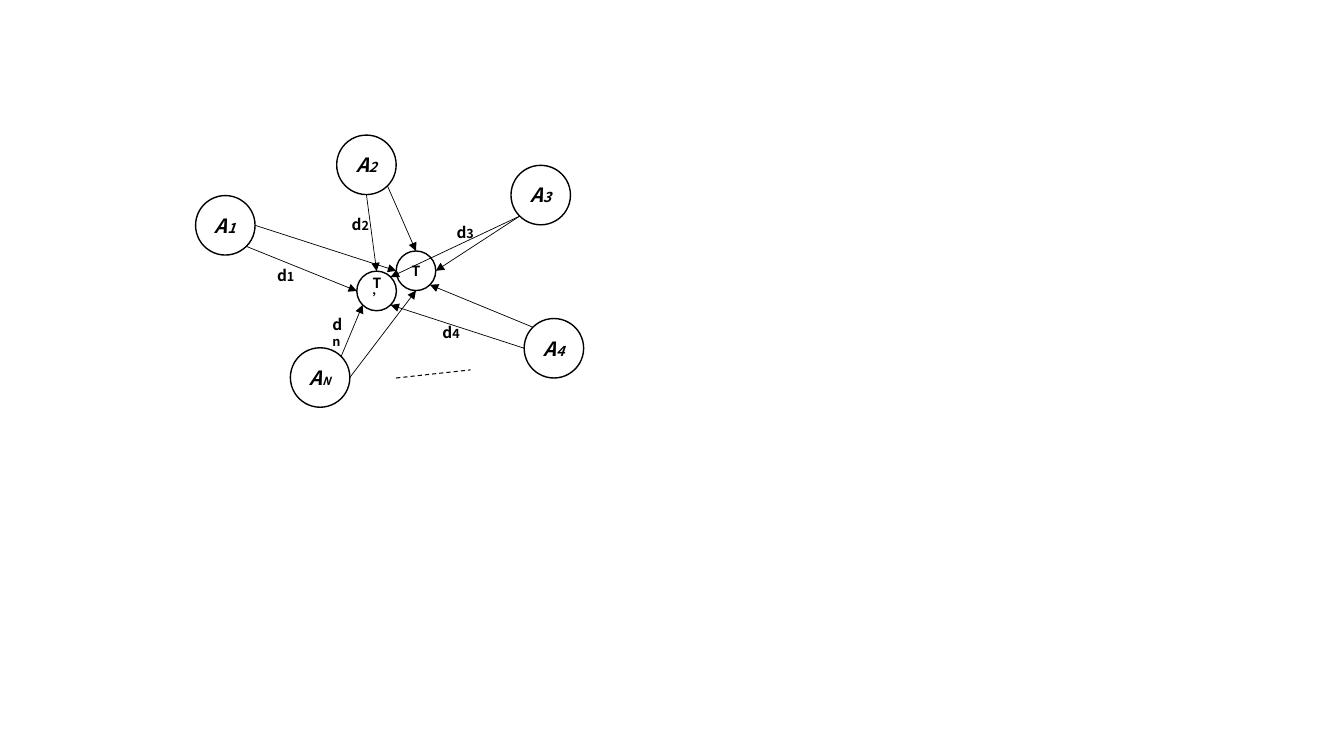
from dataclasses import dataclass
from math import cos, radians, sin

from lxml import etree
from pptx import Presentation
from pptx.dml.color import RGBColor
from pptx.enum.dml import MSO_LINE
from pptx.enum.shapes import MSO_CONNECTOR, MSO_SHAPE
from pptx.enum.text import MSO_ANCHOR, MSO_AUTO_SIZE, PP_ALIGN
from pptx.oxml.ns import qn
from pptx.shapes.connector import Connector
from pptx.slide import Slide
from pptx.text.text import TextFrame
from pptx.util import Pt

OVAL = MSO_SHAPE.OVAL
LINE = MSO_CONNECTOR.STRAIGHT
DASH = MSO_LINE.DASH
MIDDLE = MSO_ANCHOR.MIDDLE
CENTER = PP_ALIGN.CENTER
FIT = MSO_AUTO_SIZE.SHAPE_TO_FIT_TEXT

COLORS = {"ink": "000000"}
FONT = "Noto Sans CJK SC"
WIDE, SMALL = 42.5, 28.3
ANGLES = {"right": 0, "low right": 45, "low": 90, "low left": 135,
          "left": 180, "top left": 225, "top": 270, "top right": 315}

Point = tuple[float, float]
Piece = tuple[str, float]


@dataclass
class Node:
    left: float
    top: float
    size: float
    words: list[Piece]
    inset: float = 0
    slant: bool = False

    def port(self, side: str) -> Point:
        half = self.size / 2
        turn = radians(ANGLES[side])
        return (self.left + half + half * cos(turn),
                self.top + half + half * sin(turn))


@dataclass
class Arrow:
    start: str
    exit: str
    end: str
    entry: str


@dataclass
class Label:
    left: float
    top: float
    mark: str


def anchor(left: float, top: float, mark: str, size: float = 10) -> Node:
    return Node(left, top, WIDE, [("A", 14), (mark, size)], slant=True)


NODES = {
    "A1": anchor(139.7, 139.7, "1"),
    "A2": anchor(240.5, 96.5, "2"),
    "AN": anchor(207.4, 248.4, "N", 8),
    "A4": anchor(374.4, 227.5, "4"),
    "A3": anchor(365, 118.1, "3"),
    "T’": Node(254.9, 193.7, SMALL, [("T’", 10)], inset=7.2),
    "T": Node(283, 179.3, SMALL, [("T", 10)]),
}
ARROWS = [
    Arrow("A1", "low right", "T’", "left"),
    Arrow("A1", "right", "T", "left"),
    Arrow("A2", "low", "T’", "top"),
    Arrow("A2", "low right", "T", "top"),
    Arrow("A3", "low left", "T’", "top right"),
    Arrow("A3", "low left", "T", "right"),
    Arrow("A4", "top left", "T", "low right"),
    Arrow("A4", "left", "T’", "low right"),
    Arrow("AN", "top right", "T’", "low left"),
    Arrow("AN", "right", "T", "low"),
]
LABELS = [
    Label(190.8, 186.5, "1"),
    Label(244.1, 149.8, "2"),
    Label(319, 155.5, "3"),
    Label(308.9, 227.5, "4"),
    Label(230.4, 221.8, "n"),
]


def color(name: str) -> RGBColor:
    return RGBColor.from_string(COLORS[name])


def write(frame: TextFrame, words: list[Piece], slant: bool = False) -> None:
    line = frame.paragraphs[0]
    font = line.font
    font.name = FONT
    font.bold = True
    font.italic = slant
    font.color.rgb = color("ink")
    for text, size in words:
        run = line.add_run()
        run.text = text
        run.font.size = Pt(size)


def draw_node(slide: Slide, node: Node) -> None:
    shape = slide.shapes.add_shape(
        OVAL, Pt(node.left), Pt(node.top), Pt(node.size), Pt(node.size))
    shape.shadow.inherit = False
    shape.fill.background()
    shape.line.color.rgb = color("ink")
    shape.line.width = Pt(1)
    frame = shape.text_frame
    frame.word_wrap = True
    frame.vertical_anchor = MIDDLE
    frame.margin_left = frame.margin_right = Pt(node.inset)
    write(frame, node.words, node.slant)
    frame.paragraphs[0].alignment = CENTER


def draw_line(slide: Slide, start: Point, end: Point, width: float) -> Connector:
    line = slide.shapes.add_connector(
        LINE, Pt(start[0]), Pt(start[1]), Pt(end[0]), Pt(end[1]))
    line.line.color.rgb = color("ink")
    line.line.width = Pt(width)
    etree.SubElement(line._element.spPr, qn("a:effectLst"))
    return line


def draw_arrow(slide: Slide, arrow: Arrow) -> None:
    start = NODES[arrow.start].port(arrow.exit)
    end = NODES[arrow.end].port(arrow.entry)
    line = draw_line(slide, start, end, 0.5)
    outline = line._element.spPr.find(qn("a:ln"))
    etree.SubElement(outline, qn("a:tailEnd"), type="triangle")


def draw_label(slide: Slide, label: Label) -> None:
    box = slide.shapes.add_textbox(
        Pt(label.left), Pt(label.top), Pt(26.8), Pt(20.9))
    frame = box.text_frame
    frame.word_wrap = False
    frame.auto_size = FIT
    write(frame, [("d", 11), (label.mark, 9)])


def main() -> None:
    deck = Presentation()
    deck.slide_width, deck.slide_height = Pt(960), Pt(540)
    slide = deck.slides.add_slide(deck.slide_layouts[6])
    for node in NODES.values():
        draw_node(slide, node)
    draw_line(slide, (283, 270), (336.2, 264.2), 0.75).line.dash_style = DASH
    for arrow in ARROWS:
        draw_arrow(slide, arrow)
    for label in LABELS:
        draw_label(slide, label)
    deck.save("out.pptx")


if __name__ == "__main__":
    main()
